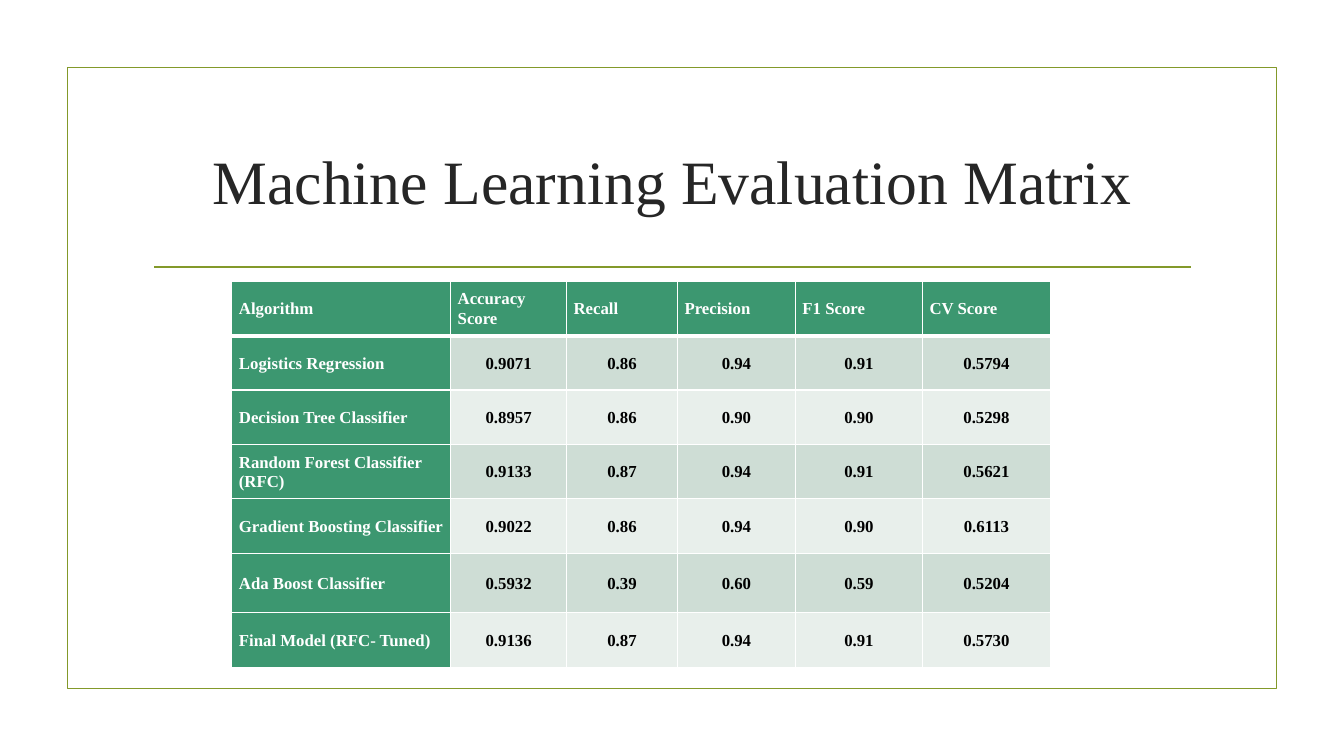
from lxml.etree import SubElement
from pptx import Presentation
from pptx.dml.color import RGBColor
from pptx.enum.shapes import MSO_CONNECTOR as Connector, MSO_SHAPE as Shape
from pptx.enum.text import MSO_ANCHOR as Anchor, PP_ALIGN as Align
from pptx.oxml.ns import qn
from pptx.util import Inches, Pt

WIDTH, HEIGHT = 13.33, 7.5
FONT = "Times New Roman"
OLIVE, GREEN, WHITE, BLACK, CHARCOAL = "83992A", "3C9770", "FFFFFF", "000000", "262626"
BANDS = ("CEDDD5", "E8EFEB")

COLUMN_WIDTHS = (2.17, 1.15, 1.1, 1.17, 1.26, 1.27)
ROW_HEIGHTS = (0.54, 0.54, 0.54, 0.54, 0.54, 0.59, 0.54)
SCORES = (
    ("Algorithm", "Accuracy Score", "Recall", "Precision", "F1 Score", "CV Score"),
    ("Logistics Regression", "0.9071", "0.86", "0.94", "0.91", "0.5794"),
    ("Decision Tree Classifier", "0.8957", "0.86", "0.90", "0.90", "0.5298"),
    ("Random Forest Classifier (RFC)", "0.9133", "0.87", "0.94", "0.91", "0.5621"),
    ("Gradient Boosting Classifier", "0.9022", "0.86", "0.94", "0.90", "0.6113"),
    ("Ada Boost Classifier", "0.5932", "0.39", "0.60", "0.59", "0.5204"),
    ("Final Model (RFC- Tuned)", "0.9136", "0.87", "0.94", "0.91", "0.5730"),
)


def color(value):
    return RGBColor.from_string(value)


def style_text(para, size, tint, align, bold=False):
    para.alignment = align
    for span in para.runs:
        span.font.name = FONT
        span.font.size = Pt(size)
        span.font.bold = bold
        span.font.color.rgb = color(tint)


def style_line(line):
    line.color.rgb = color(OLIVE)
    line.width = Pt(1.25)


def add_frame(page):
    margin = 0.67
    frame = page.shapes.add_shape(
        Shape.RECTANGLE, Inches(margin), Inches(margin),
        Inches(WIDTH - 2 * margin), Inches(HEIGHT - 2 * margin))
    frame.shadow.inherit = False
    frame.fill.background()
    style_line(frame.line)


def add_rule(page, left, right, top):
    rule = page.shapes.add_connector(
        Connector.STRAIGHT, Inches(left), Inches(top), Inches(right), Inches(top))
    style_line(rule.line)
    SubElement(rule._element.spPr, qn("a:effectLst"))


def set_title(page, text):
    title = page.shapes.title
    title.left, title.top = Inches(1.42), Inches(1.07)
    title.width, title.height = Inches(10.5), Inches(1.43)
    title.text_frame.text = text
    title.text_frame.vertical_anchor = Anchor.MIDDLE
    style_text(title.text_frame.paragraphs[0], 44, CHARCOAL, Align.CENTER)


def set_borders(cell, bottom):
    properties = cell._tc.get_or_add_tcPr()
    for side, points in (("L", 1), ("R", 1), ("T", 1), ("B", bottom)):
        border = SubElement(properties, qn(f"a:ln{side}"), w=str(Pt(points)))
        fill = SubElement(border, qn("a:solidFill"))
        SubElement(fill, qn("a:srgbClr"), val=WHITE)


def style_cell(cell, row, column):
    heading = row == 0 or column == 0
    cell.vertical_anchor = Anchor.MIDDLE
    cell.margin_left = cell.margin_right = Inches(0.07)
    cell.margin_top = cell.margin_bottom = 0
    # Borders come before the fill in the cell properties
    set_borders(cell, bottom=3 if row == 0 else 1)
    cell.fill.solid()
    cell.fill.fore_color.rgb = color(GREEN if heading else BANDS[(row - 1) % 2])
    para = cell.text_frame.paragraphs[0]
    para.line_spacing = 1.07
    para.space_after = Pt(8)
    align = Align.JUSTIFY if row == 0 else Align.LEFT if column == 0 else Align.CENTER
    style_text(para, 12, WHITE if heading else BLACK, align, bold=True)


def add_scores(page, left, top):
    table = page.shapes.add_table(
        len(SCORES), len(COLUMN_WIDTHS), Inches(left), Inches(top),
        Inches(sum(COLUMN_WIDTHS)), Inches(sum(ROW_HEIGHTS))).table
    for column, width in zip(table.columns, COLUMN_WIDTHS):
        column.width = Inches(width)
    for row, height in zip(table.rows, ROW_HEIGHTS):
        row.height = Inches(height)
    for row, values in enumerate(SCORES):
        for column, value in enumerate(values):
            cell = table.cell(row, column)
            cell.text_frame.text = value
            style_cell(cell, row, column)


def main():
    deck = Presentation()
    deck.slide_width, deck.slide_height = Inches(WIDTH), Inches(HEIGHT)
    page = deck.slides.add_slide(deck.slide_layouts[5])

    # Frame, heading and rule
    add_frame(page)
    set_title(page, "Machine Learning Evaluation Matrix")
    add_rule(page, left=1.53, right=11.81, top=2.65)

    # Scores of each algorithm
    add_scores(page, left=2.3, top=2.79)

    deck.save("out.pptx")


if __name__ == "__main__":
    main()
